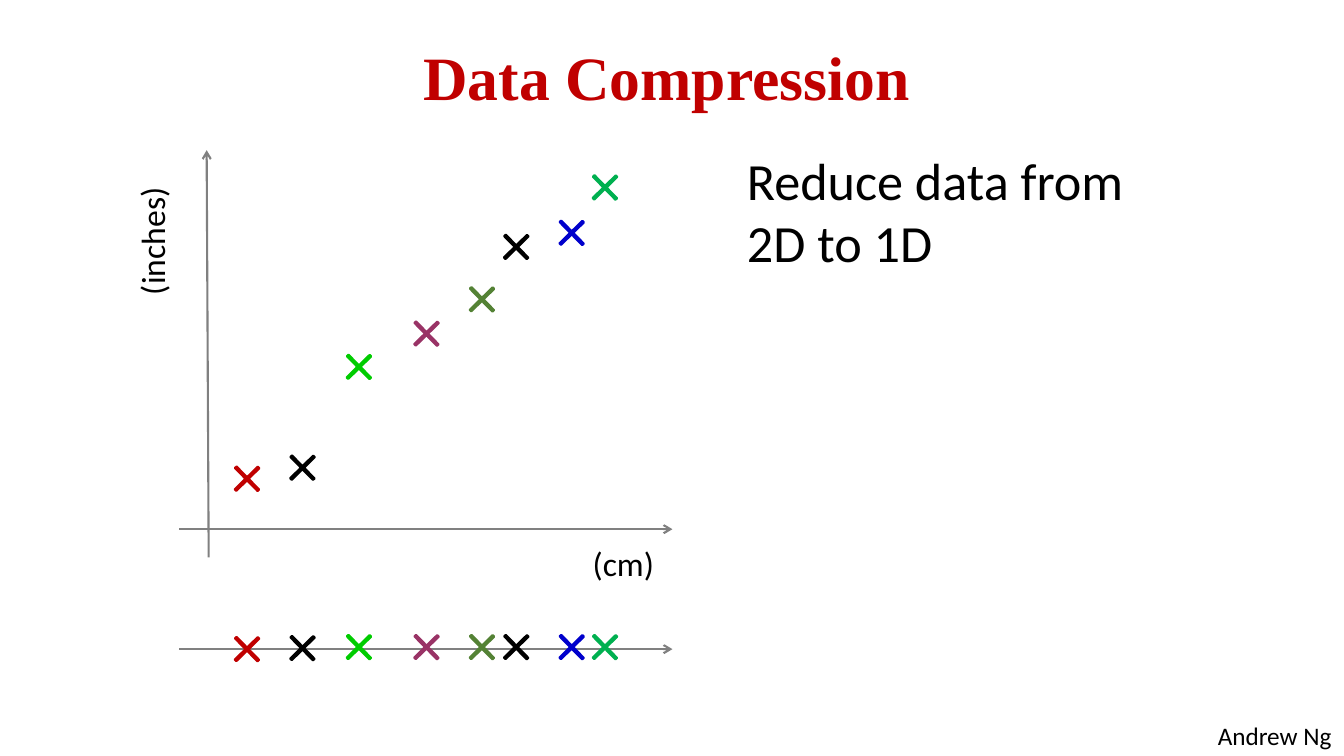
import pptx
import pptx.util
import pptx.dml.color
import pptx.enum.shapes
import pptx.enum.text
import pptx.oxml
import pptx.oxml.ns
from pptx.util import Inches

COLORS = {
    "red": "C00000", "black": "000000", "lime": "00CC00", "plum": "993366",
    "olive": "548235", "blue": "0000CC", "green": "00B050", "axis": "808080",
}
SAMPLES = [
    (2.29, 4.59, 6.28, "red"),
    (2.84, 4.48, 6.27, "black"),
    (3.40, 3.48, 6.26, "lime"),
    (4.07, 3.15, 6.26, "plum"),
    (4.62, 2.81, 6.26, "olive"),
    (4.96, 2.29, 6.26, "black"),
    (5.51, 2.15, 6.26, "blue"),
    (5.84, 1.70, 6.26, "green"),
]
CROSS_SIZE = 0.32


def rgb(name):
    """Return the named colour."""
    return pptx.dml.color.RGBColor.from_string(COLORS[name])


def place(shape, left, top, width, height):
    """Move and size a shape, in inches."""
    shape.left, shape.top = Inches(left), Inches(top)
    shape.width, shape.height = Inches(width), Inches(height)


def add_run(paragraph, words, size, font="Calibri", color="black", bold=False):
    """Append a formatted run to a paragraph."""
    run = paragraph.add_run()
    run.text = words
    run.font.name = font
    run.font.size = pptx.util.Pt(size)
    run.font.bold = bold
    run.font.color.rgb = rgb(color)


def set_title(slide, words):
    """Fill and format the title placeholder."""
    title = slide.shapes.title
    place(title, 0.56, 0.41, 12.11, 0.77)
    frame = title.text_frame
    frame.word_wrap = True
    frame.vertical_anchor = pptx.enum.text.MSO_ANCHOR.MIDDLE
    heading = frame.paragraphs[0]
    heading.alignment = pptx.enum.text.PP_ALIGN.CENTER
    heading.line_spacing = 0.9
    add_run(heading, words, 44, "Times New Roman", "red", True)


def add_text(slide, box, lines, size, rotation=0, wrap=True):
    """Add a text box with one paragraph per line."""
    label = slide.shapes.add_textbox(*map(Inches, box))
    label.rotation = rotation
    frame = label.text_frame
    frame.word_wrap = wrap
    for index, line in enumerate(lines):
        paragraph = frame.add_paragraph() if index else frame.paragraphs[0]
        add_run(paragraph, line, size)


def add_axis(slide, start, end):
    """Draw a grey axis with an open arrowhead at its end."""
    axis = slide.shapes.add_connector(
        pptx.enum.shapes.MSO_CONNECTOR.STRAIGHT, *map(Inches, start + end))
    axis.line.color.rgb = rgb("axis")
    axis.line.width = pptx.util.Pt(1.5)
    arrowhead = pptx.oxml.parse_xml(
        f'<a:tailEnd {pptx.oxml.ns.nsdecls("a")} type="arrow"/>')
    axis.line._get_or_add_ln().append(arrowhead)
    properties = axis._element.spPr
    properties.append(pptx.oxml.parse_xml(
        f'<a:effectLst {pptx.oxml.ns.nsdecls("a")}/>'))


def add_cross(slide, left, top, color):
    """Mark a data point with a turned thin plus."""
    cross = slide.shapes.add_shape(
        pptx.enum.shapes.MSO_SHAPE.CROSS, Inches(left), Inches(top),
        Inches(CROSS_SIZE), Inches(CROSS_SIZE))
    cross.adjustments[0] = 0.466
    cross.rotation = 45.6
    cross.shadow.inherit = False
    cross.fill.solid()
    cross.fill.fore_color.rgb = rgb(color)
    cross.line.color.rgb = rgb(color)
    cross.line.width = pptx.util.Pt(1.5)


def main():
    """Build and save the data compression slide."""
    deck = pptx.Presentation()
    deck.slide_width, deck.slide_height = Inches(13.33), Inches(7.5)
    slide = deck.slides.add_slide(deck.slide_layouts.get_by_name("Title Only"))
    set_title(slide, "Data Compression")

    add_axis(slide, (2.07, 5.53), (2.05, 1.49))
    add_axis(slide, (1.78, 5.25), (6.67, 5.25))
    for left, top, _, color in SAMPLES:
        add_cross(slide, left, top, color)

    add_axis(slide, (1.78, 6.44), (6.67, 6.44))
    for left, _, projected_top, color in SAMPLES:
        add_cross(slide, left, projected_top, color)

    add_text(slide, (7.31, 1.42, 5.47, 1.36),
             ["Reduce data from", "2D to 1D"], 37.3)
    add_text(slide, (0.74, 2.01, 1.53, 0.5), ["(inches)"], 24, rotation=270)
    add_text(slide, (5.78, 5.34, 1.53, 0.5), ["(cm)"], 24)
    add_text(slide, (11.98, 7.1, 1.34, 0.4), ["Andrew Ng"], 18, wrap=False)
    deck.save("out.pptx")


if __name__ == "__main__":
    main()
